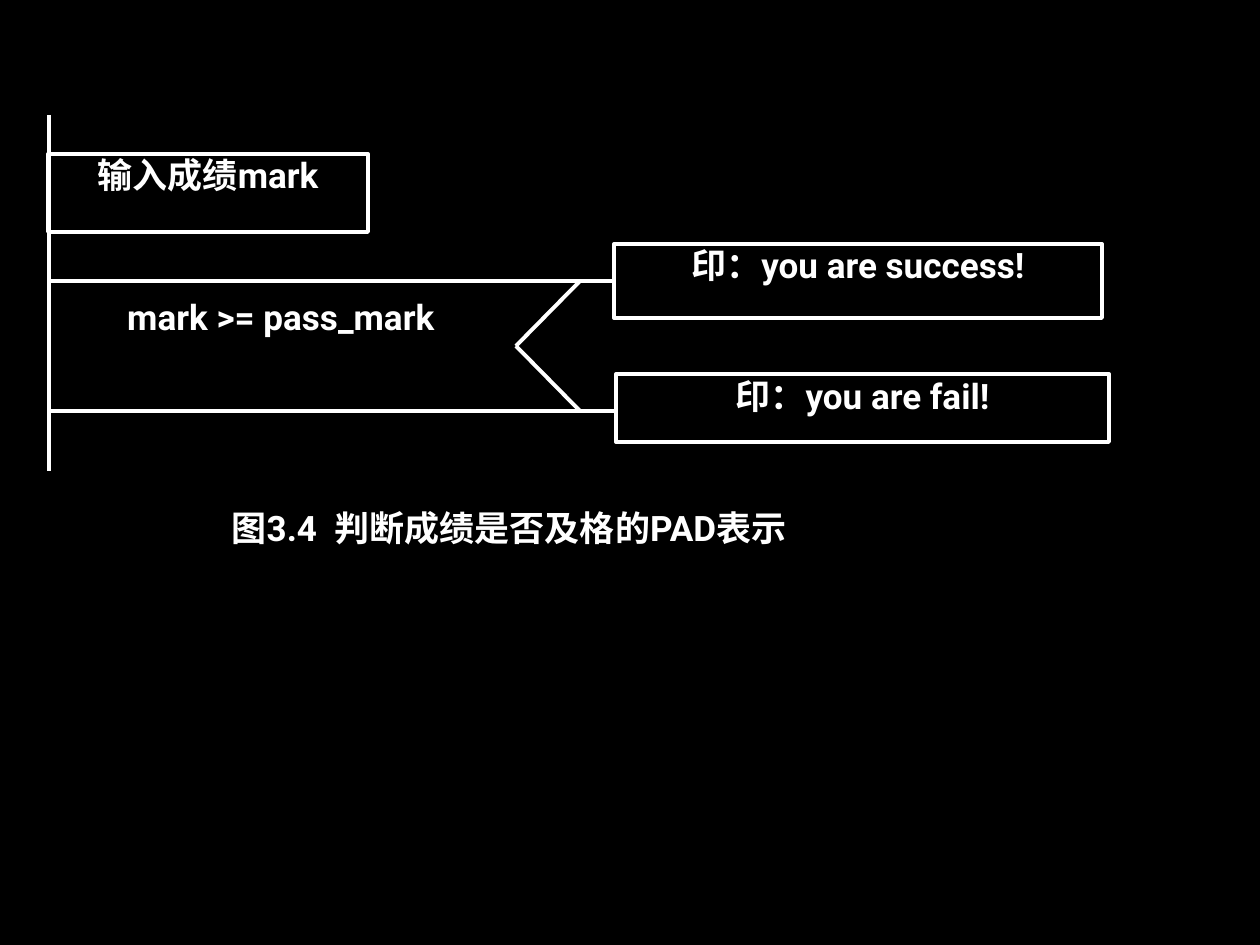
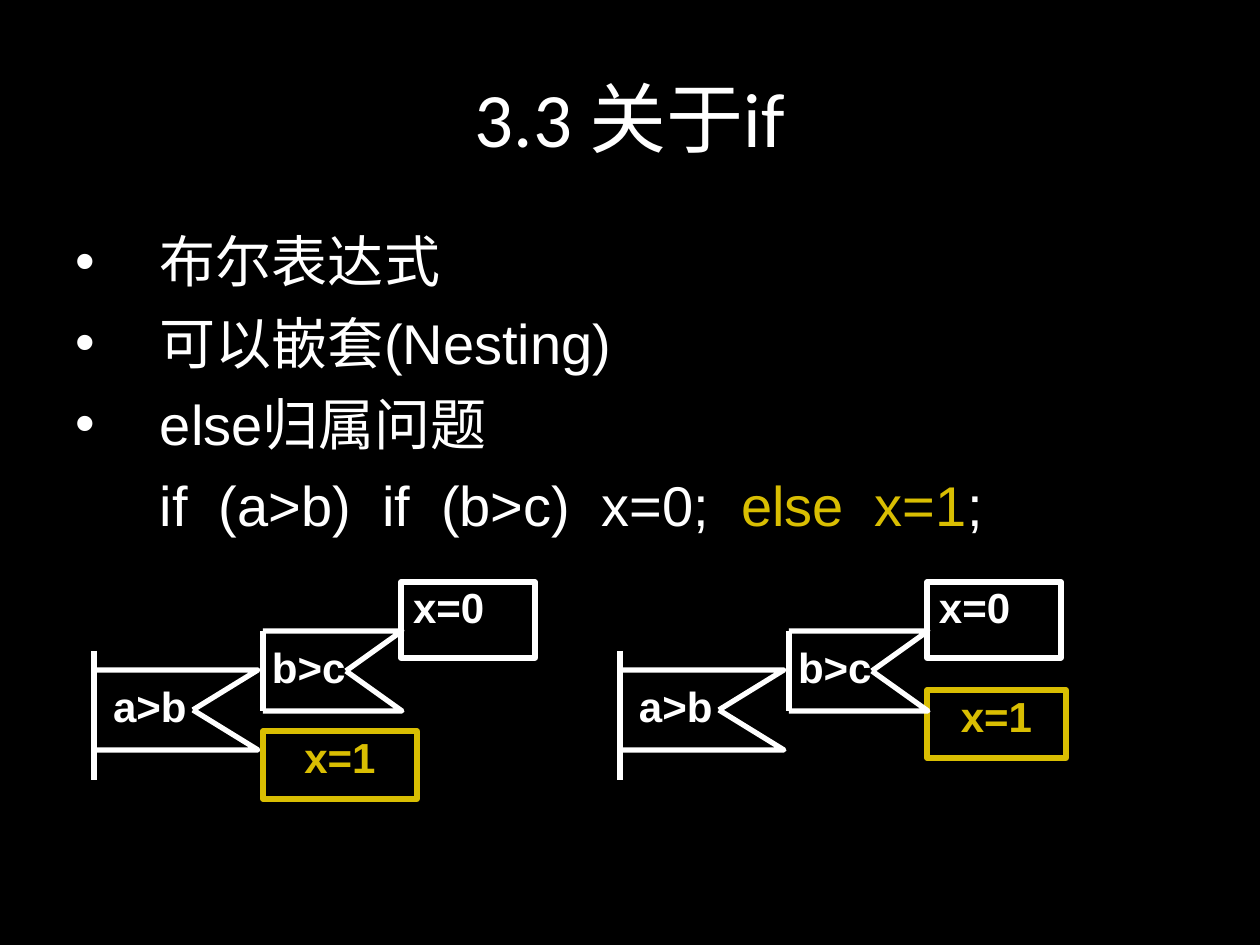
from lxml import etree
from pptx import Presentation
from pptx.dml.color import RGBColor
from pptx.enum.shapes import MSO_CONNECTOR, MSO_SHAPE
from pptx.enum.text import MSO_ANCHOR, PP_ALIGN
from pptx.oxml.ns import qn
from pptx.util import Pt

RECT = MSO_SHAPE.RECTANGLE
STRAIGHT = MSO_CONNECTOR.STRAIGHT
LEFT, CENTER = PP_ALIGN.LEFT, PP_ALIGN.CENTER
TOP, MIDDLE = MSO_ANCHOR.TOP, MSO_ANCHOR.MIDDLE
LEFT_SIDE = 1

COLORS = {"background": "000000", "ink": "FFFFFF", "accent": "D9BE02"}
DIAGRAM_1 = {"size": 20, "font": "Roboto", "bold": True}
DIAGRAM_2 = {"size": 24, "font": "Arial", "bold": True}
INSET = (13, 6)
BULLET_INDENT = 84


def px(n):
    return round(n * 914400 / 126)


def rgb(name):
    return RGBColor.from_string(COLORS[name])


def write(tf, text, size=20, font="Arial", color="ink", bold=False,
          align=CENTER, anchor=TOP, inset=(0, 0)):
    """Fill a text frame; each paragraph is a string or a list of (text, colour)."""
    tf.word_wrap = True
    tf.vertical_anchor = anchor
    tf.margin_left = tf.margin_right = px(inset[0])
    tf.margin_top = tf.margin_bottom = px(inset[1])
    for i, runs in enumerate(text if isinstance(text, list) else [text]):
        p = tf.add_paragraph() if i else tf.paragraphs[0]
        p.alignment = align
        for words, run_color in [(runs, color)] if isinstance(runs, str) else runs:
            r = p.add_run()
            r.text = words
            r.font.size = Pt(size)
            r.font.name = font
            r.font.bold = bold
            r.font.color.rgb = rgb(run_color)


def stroke(sp, width, color="ink"):
    sp.line.color.rgb = rgb(color)
    sp.line.width = Pt(width)


def text_box(shapes, box, text, **fmt):
    sp = shapes.add_textbox(*map(px, box))
    write(sp.text_frame, text, **fmt)
    return sp


def framed_box(shapes, box, text, width, color="ink", **fmt):
    sp = shapes.add_shape(RECT, *map(px, box))
    sp.shadow.inherit = False
    sp.fill.background()
    stroke(sp, width, color)
    write(sp.text_frame, text, color=color, **fmt)
    return sp


def line(shapes, start, end, width):
    cn = shapes.add_connector(STRAIGHT, *map(px, start + end))
    stroke(cn, width)
    etree.SubElement(cn._element.spPr, qn("a:effectLst"))
    return cn


def polyline(shapes, points, width):
    (x, y), *rest = [(px(a), px(b)) for a, b in points]
    fb = shapes.build_freeform(x, y)
    fb.add_line_segments(rest, close=False)
    sp = fb.convert_to_shape()
    sp.shadow.inherit = False
    sp.fill.background()
    stroke(sp, width)


def add_slide(prs):
    s = prs.slides.add_slide(prs.slide_layouts[6])
    s.background.fill.solid()
    s.background.fill.fore_color.rgb = rgb("background")
    return s


def grade_diagram(s, x, y):
    """PAD chart of the pass mark; x, y is the top of its spine."""
    shapes = s.shapes.add_group_shape().shapes
    width = 2.25
    line(shapes, (x, y), (x, y + 356), width)
    framed_box(shapes, (x - 1, y + 39, 320, 78), "输入成绩mark", width, **DIAGRAM_1)
    success = framed_box(shapes, (x + 565, y + 129, 488, 74),
                         "印：you are success!", width, **DIAGRAM_1)
    framed_box(shapes, (x + 567, y + 259, 493, 68),
               "印：you are fail!", width, **DIAGRAM_1)

    # Condition with its two exits
    text_box(shapes, (x + 29, y + 181, 406, 73), "mark >= pass_mark", **DIAGRAM_1)
    top, bottom = y + 166, y + 296
    exits = []
    for exit_y in (top, bottom):
        exits.append(line(shapes, (x + 1, exit_y), (x + 565, exit_y), width))
        line(shapes, (x + 531, exit_y), (x + 467, (top + bottom) // 2), width)
    exits[0].end_connect(success, LEFT_SIDE)

    text_box(shapes, (x + 91, y + 386, 738, 139), "图3.4  判断成绩是否及格的PAD表示",
             inset=INSET, **DIAGRAM_1)


def branch(shapes, box, notch, label, label_dx):
    """Condition box whose right side is a notch reaching in to x + notch."""
    x, y, w, h = box
    for edge in (y + h, y):
        polyline(shapes, [(x, edge), (x + w, edge), (x + notch, y + h // 2)], 3)
    text_box(shapes, (x + label_dx, y + 10, w - label_dx, 56), label,
             align=LEFT, **DIAGRAM_2)


def nested_if(s, x, y, else_box):
    """Nested if chart; else_box is relative to x, y."""
    shapes = s.shapes.add_group_shape().shapes
    line(shapes, (x, y + 69), (x, y + 198), 3)
    branch(shapes, (x, y + 88, 164, 80), 99, "a>b", 19)
    dx, dy, w, h = else_box
    framed_box(shapes, (x + dx, y + dy, w, h), "x=1", 3, "accent", **DIAGRAM_2)
    line(shapes, (x + 169, y + 49), (x + 169, y + 129), 3)
    branch(shapes, (x + 169, y + 49, 139, 80), 83, "b>c", 9)
    framed_box(shapes, (x + 307, y, 134, 76), "x=0", 3,
               align=LEFT, inset=(12, 0), **DIAGRAM_2)


def bullet_list(s, box, items, code):
    """Bulleted items, then a line of code at the same indent."""
    tf = text_box(s.shapes, box, items + [code], size=32, align=LEFT,
                  inset=INSET).text_frame
    for i, p in enumerate(tf.paragraphs):
        pPr = p._p.get_or_add_pPr()
        pPr.set("marL", str(px(BULLET_INDENT)))
        if i:
            p.space_before = Pt(8)
        if i < len(items):
            pPr.set("indent", str(-px(BULLET_INDENT)))
            etree.SubElement(pPr, qn("a:buFont"), typeface="Arial")
            etree.SubElement(pPr, qn("a:buChar"), char="•")


def main():
    prs = Presentation()
    prs.slide_width, prs.slide_height = px(1260), px(945)

    grade_diagram(add_slide(prs), 49, 115)

    s = add_slide(prs)
    text_box(s.shapes, (63, 38, 1134, 158), "3.3 关于if", size=44, font="Calibri",
             anchor=MIDDLE, inset=INSET)
    bullet_list(s, (63, 221, 1134, 341),
                ["布尔表达式", "可以嵌套(Nesting)", "else归属问题"],
                [("if  (a>b)  if  (b>c)  x=0;  ", "ink"),
                 ("else  x=1", "accent"), (";", "ink")])
    # The else goes with the outer if, then with the inner one
    nested_if(s, 94, 582, (169, 149, 154, 68))
    nested_if(s, 620, 582, (307, 108, 139, 68))

    prs.save("out.pptx")


if __name__ == "__main__":
    main()
